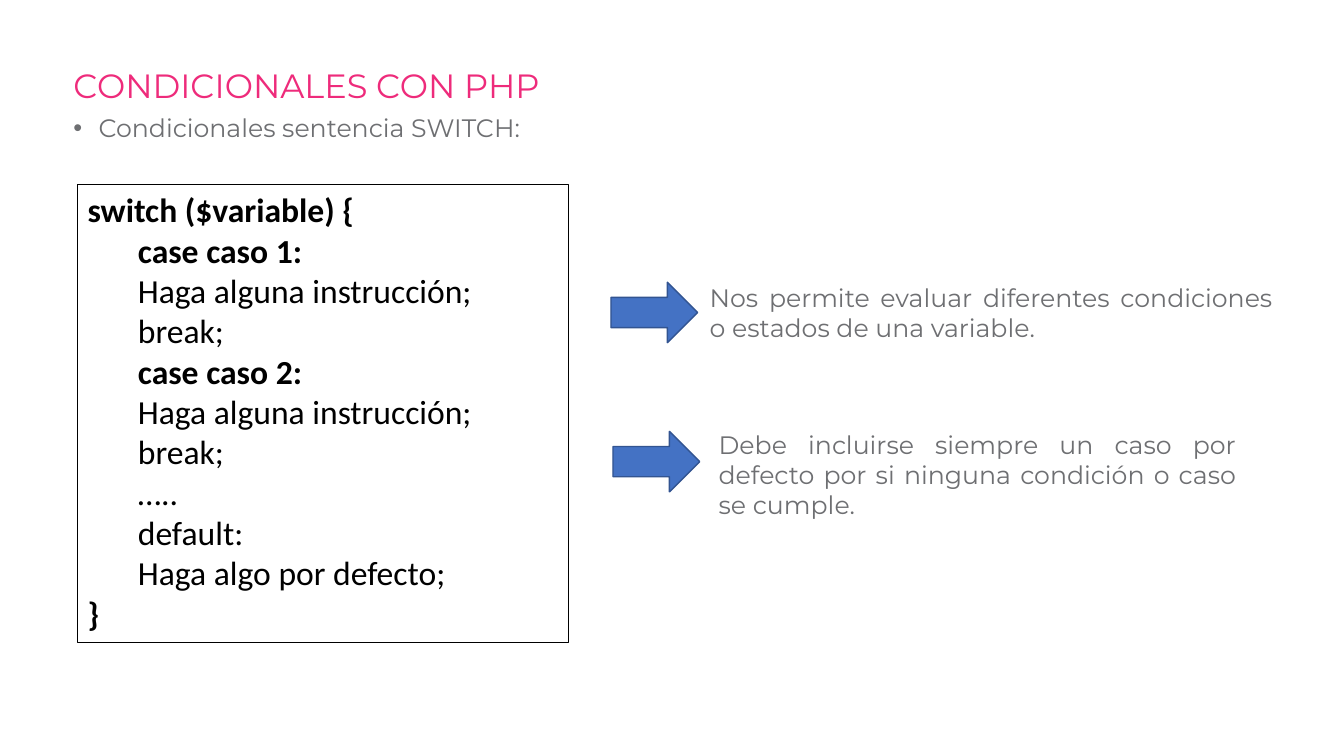
from pptx import Presentation
from pptx.dml.color import RGBColor
from pptx.enum import shapes, text
from pptx.oxml import xmlchemy
from pptx.util import Inches, Pt
from lxml import etree

PINK = RGBColor(0xEE, 0x2B, 0x7B)
GRAY = RGBColor(0x6E, 0x6F, 0x72)
BLACK = RGBColor(0, 0, 0)
BLUE = RGBColor(0x44, 0x72, 0xC4)
DARK_BLUE = RGBColor(0x32, 0x54, 0x91)

presentation = Presentation()
presentation.slide_width = Inches(13.33)
presentation.slide_height = Inches(7.5)
slide = presentation.slides.add_slide(presentation.slide_layouts[6])


def add_text(box, content, font_name, size, color, align=text.PP_ALIGN.JUSTIFY):
    shape = slide.shapes.add_textbox(*[Inches(length) for length in box])
    shape.text_frame.word_wrap = True
    shape.text_frame.text = content
    for paragraph in shape.text_frame.paragraphs:
        paragraph.alignment = align
        font = paragraph.runs[0].font
        font.name = font_name
        font.size = Pt(size)
        font.color.rgb = color
    return shape


title = add_text((0.63, 0.64, 11.5, 1.45), "CONDICIONALES CON PHP",
                 "Montserrat", 24, PINK, text.PP_ALIGN.LEFT)
subtitle = add_text((0.63, 1.1, 12.06, 1.95), "Condicionales sentencia SWITCH:",
                    "Montserrat", 18, GRAY)
for heading in (title, subtitle):
    heading.text_frame.paragraphs[0].line_spacing = 0.9

properties = subtitle.text_frame.paragraphs[0]._p.get_or_add_pPr()
properties.set("marL", str(Inches(0.25)))
properties.set("indent", str(Inches(-0.25)))
namespace = etree.QName(properties).namespace
bullet_font = etree.SubElement(properties, f"{{{namespace}}}buFont")
bullet_font.set("typeface", "Arial")
bullet = etree.SubElement(properties, f"{{{namespace}}}buChar")
bullet.set("char", "•")

explanations = [
    ((6.06, 2.8), (6.94, 2.75, 5.78, 1.01),
     "Nos permite evaluar diferentes condiciones o estados de una variable."),
    ((6.08, 4.28), (7.03, 4.21, 5.33, 1.01),
     "Debe incluirse siempre un caso por defecto por si ninguna condición o caso se cumple."),
]
for (left, top), box, explanation in explanations:
    arrow = slide.shapes.add_shape(shapes.MSO_SHAPE.RIGHT_ARROW, Inches(left), Inches(top),
                                   Inches(0.86), Inches(0.6))
    arrow.shadow.inherit = False
    arrow.fill.solid()
    arrow.fill.fore_color.rgb = BLUE
    arrow.line.color.rgb = DARK_BLUE
    arrow.line.width = Pt(1)
    add_text(box, explanation, "Montserrat", 18, GRAY)

code_lines = [
    "switch ($variable) {",
    "case caso 1:",
    "Haga alguna instrucción;",
    "break;",
    "case caso 2:",
    "Haga alguna instrucción;",
    "break;",
    "…..",
    "default:",
    "Haga algo por defecto;",
    "}",
]
code = add_text((0.77, 1.83, 4.87, 4.54), "\n".join(code_lines), "Calibri", 24, BLACK)
code.line.color.rgb = BLACK
code.line.width = Pt(0.75)
for paragraph in code.text_frame.paragraphs:
    is_brace = paragraph.text.endswith(("{", "}"))
    paragraph.runs[0].font.bold = is_brace or paragraph.text.startswith("case")
    if not is_brace:
        paragraph._p.get_or_add_pPr().set("marL", str(Inches(0.5)))

presentation.save("out.pptx")
